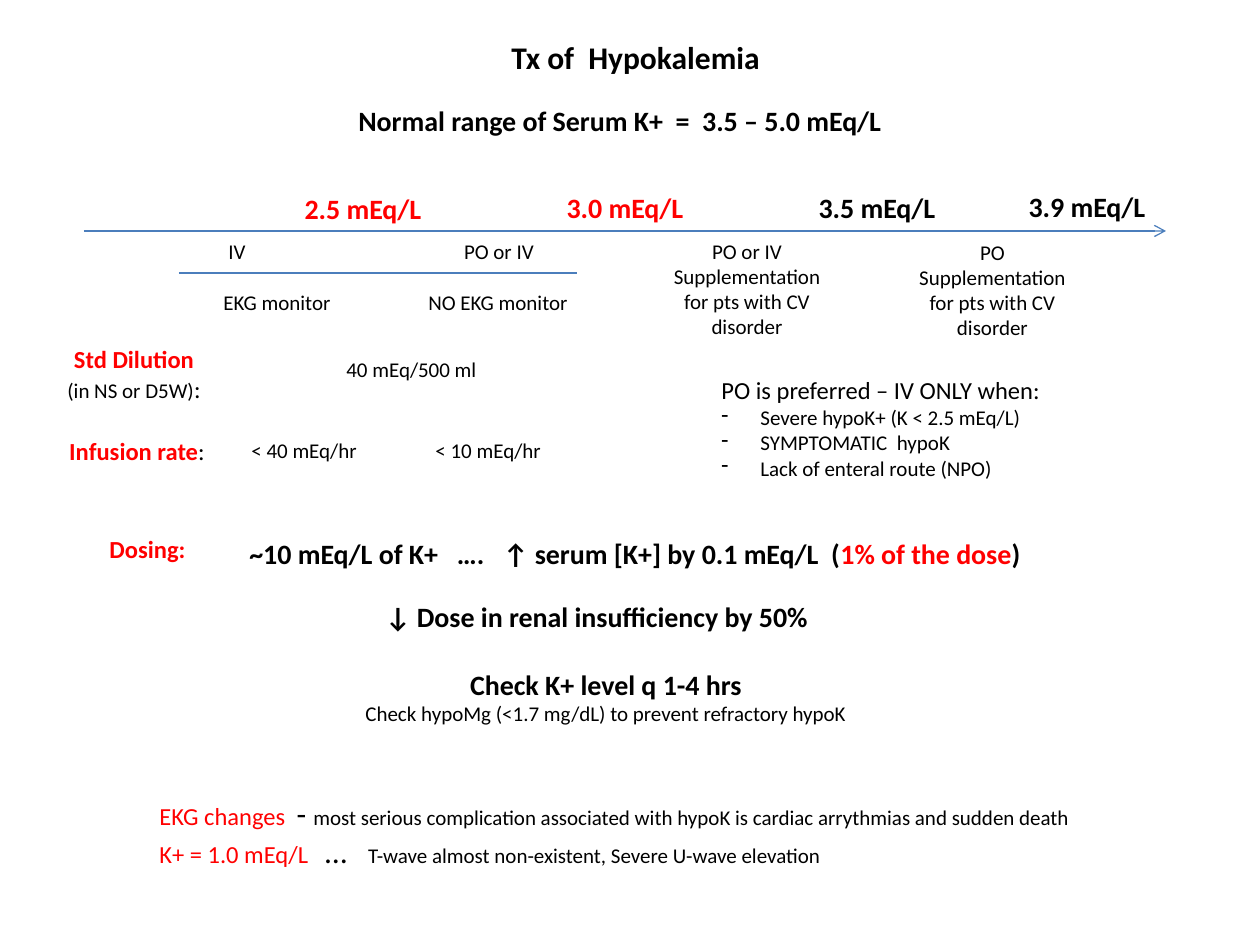
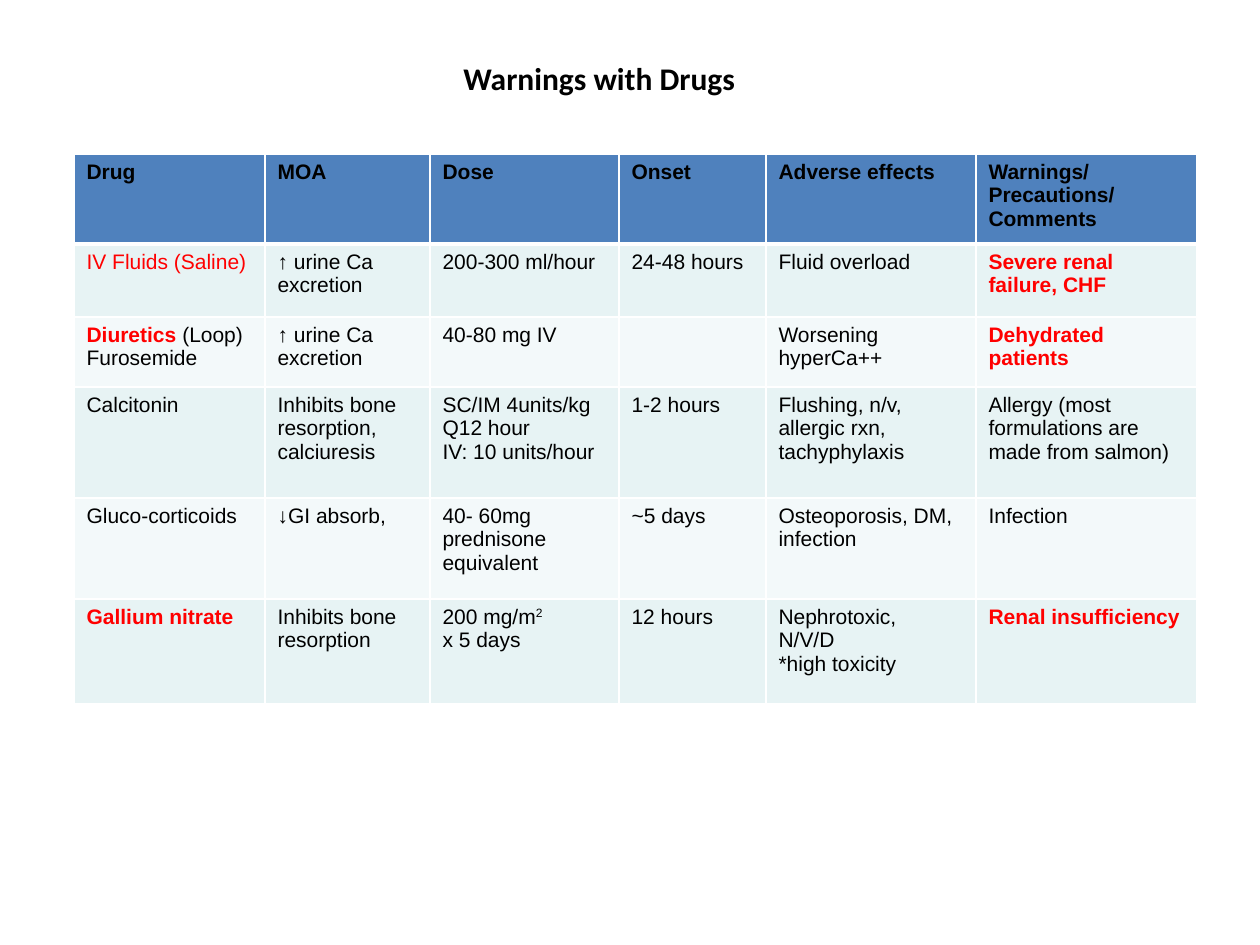
from typing import NamedTuple

from lxml.etree import SubElement
from pptx import Presentation
from pptx.dml.color import RGBColor
from pptx.enum.shapes import MSO_CONNECTOR
from pptx.enum.text import PP_ALIGN
from pptx.oxml.ns import qn
from pptx.util import Emu, Pt

BLACK, RED, WHITE = "000000", "FF0000", "FFFFFF"
LINE_BLUE, HEADER_BLUE = "4B7EBC", "4F81BD"
BANDS = ("E7F3F4", "F3F9FA")
BODY_FONT, TABLE_FONT = "Calibri", "Arial"
TITLE, HEADING, LABEL, SMALL = 18, 16, 14, 12
CENTER = PP_ALIGN.CENTER


class Run(NamedTuple):
    text: str
    size: int = SMALL
    color: str = BLACK
    bold: bool = False
    raised: bool = False


def px(n):
    return Emu(round(n * 914400 / 126))


def rgb(color):
    return RGBColor.from_string(color)


def warning(text):
    return [[Run(text, color=RED, bold=True)]]


def fill_text(tf, paragraphs, font, align=None):
    """Write paragraphs, each a list of runs, into a text frame."""
    for i, runs in enumerate(paragraphs):
        p = tf.paragraphs[0] if i == 0 else tf.add_paragraph()
        p.alignment = align
        for run in runs:
            r = p.add_run()
            r.text = run.text
            r.font.name = font
            r.font.size = Pt(run.size)
            r.font.bold = run.bold
            r.font.color.rgb = rgb(run.color)
            if run.raised:
                r._r.get_or_add_rPr().set("baseline", "30000")


def add_text(s, box, *paragraphs, align=None, wrap=False):
    tf = s.shapes.add_textbox(*map(px, box)).text_frame
    tf.word_wrap = wrap
    fill_text(tf, paragraphs, BODY_FONT, align)
    return tf


def add_title(s, box, text):
    add_text(s, box, [Run(text, TITLE, bold=True)])


def add_rule(s, x1, x2, y, arrow=False):
    line = s.shapes.add_connector(MSO_CONNECTOR.STRAIGHT, px(x1), px(y), px(x2), px(y))
    line.line.color.rgb = rgb(LINE_BLUE)
    line.line.width = Pt(0.75)
    if arrow:
        SubElement(line.line._get_or_add_ln(), qn("a:tailEnd"), type="arrow")
    SubElement(line._element.spPr, qn("a:effectLst"))


def add_dash(p):
    pPr = p._p.get_or_add_pPr()
    pPr.set("marL", str(px(39)))
    pPr.set("indent", str(-px(39)))
    SubElement(pPr, qn("a:buChar"), char="-")


def set_borders(cell, top, bottom):
    """Draw white borders; top and bottom are widths in points."""
    tcPr = cell._tc.get_or_add_tcPr()
    for side, width in (("L", 1), ("R", 1), ("T", top), ("B", bottom)):
        ln = SubElement(tcPr, qn(f"a:ln{side}"), w=str(Pt(width)))
        SubElement(SubElement(ln, qn("a:solidFill")), qn("a:srgbClr"), val=WHITE)


def add_drug_table(s, left, top, widths, heights, header, drugs):
    rows = [header, *drugs]
    table = s.shapes.add_table(len(rows), len(header), px(left), px(top),
                               px(sum(widths)), px(sum(heights))).table
    for column, width in zip(table.columns, widths):
        column.width = px(width)
    for i, (row, height, contents) in enumerate(zip(table.rows, heights, rows)):
        row.height = px(height)
        for cell, content in zip(row.cells, contents):
            set_borders(cell, 3 if i == 1 else 1, 3 if i == 0 else 1)
            cell.fill.solid()
            cell.fill.fore_color.rgb = rgb(BANDS[(i - 1) % 2] if i else HEADER_BLUE)
            if isinstance(content, str):
                content = [[Run(t, bold=i == 0)] for t in content.split("\n") if t]
            fill_text(cell.text_frame, content, TABLE_FONT)


def add_potassium_scale(s):
    add_rule(s, 84, 1166, 231, arrow=True)
    levels = [(284, 185, "2.5", RED), (546, 184, "3.0", RED),
              (798, 184, "3.5", BLACK), (1008, 183, "3.9", BLACK)]
    for x, y, level, color in levels:
        add_text(s, (x, y, 158, 47), [Run(f"{level} mEq/L", HEADING, color, True)],
                 align=CENTER)

    routes = [(179, 232, 116, "IV"), (441, 232, 116, "PO or IV"),
              (207, 283, 140, "EKG monitor"), (399, 283, 198, "NO EKG monitor")]
    for x, y, w, route in routes:
        add_text(s, (x, y, w, 38), [Run(route)], align=CENTER)
    add_rule(s, 179, 577, 273)

    for x, y, w, route in [(654, 232, 186, "PO or IV"), (903, 233, 179, "PO")]:
        add_text(s, (x, y, w, 115), [Run(route)],
                 [Run("Supplementation for pts with CV disorder")],
                 align=CENTER, wrap=True)


def add_infusion(s):
    add_text(s, (42, 338, 184, 72), [Run("Std Dilution", LABEL, RED, True)],
             [Run("(in NS or D5W)"), Run(":", LABEL)], align=CENTER)
    add_text(s, (53, 430, 168, 43),
             [Run("Infusion rate", LABEL, RED, True), Run(":", LABEL)], align=CENTER)
    values = [(334, 350, 161, "40 mEq/500 ml"), (239, 431, 139, "< 40 mEq/hr"),
              (423, 431, 144, "< 10 mEq/hr")]
    for x, y, w, value in values:
        add_text(s, (x, y, w, 38), [Run(value)])

    tf = add_text(s, (709, 369, 362, 118), [Run("PO is preferred – IV ONLY when:", LABEL)],
                  [Run("Severe hypoK+ (K < 2.5 mEq/L)")],
                  [Run("SYMPTOMATIC  hypoK")],
                  [Run("Lack of enteral route (NPO)")])
    for p in tf.paragraphs[1:]:
        add_dash(p)


def add_dosing(s):
    add_text(s, (84, 528, 127, 43), [Run("Dosing:", LABEL, RED, True)], align=CENTER)
    add_text(s, (237, 530, 804, 47),
             [Run("~10 mEq/L of K+   ….   ↑ serum [K+] by 0.1 mEq/L  (", HEADING, bold=True),
              Run("1% of the dose", HEADING, RED, True), Run(")", HEADING, bold=True)])
    add_text(s, (373, 593, 467, 47),
             [Run("↓ Dose in renal insufficiency by 50%", HEADING, bold=True)])
    add_text(s, (341, 661, 530, 72), [Run("Check K+ level q 1-4 hrs", HEADING, bold=True)],
             [Run("Check hypoMg (<1.7 mg/dL) to prevent refractory hypoK")], align=CENTER)


def add_ekg_notes(s):
    add_text(s, (147, 788, 939, 89),
             [Run("EKG changes  ", LABEL, RED), Run("- ", TITLE),
              Run("most serious complication associated with hypoK is cardiac "
                  "arrythmias and sudden death")],
             [Run("K+ = 1.0 mEq/L   ", LABEL, RED), Run("…   ", TITLE),
              Run("T-wave almost non-existent, Severe U-wave elevation")])


def build_hypokalemia(s):
    add_title(s, (499, 32, 278, 50), "Tx of  Hypokalemia")
    add_text(s, (346, 97, 557, 47),
             [Run("Normal range of Serum K+  =  3.5 – 5.0 mEq/L", HEADING, bold=True)])
    add_potassium_scale(s)
    add_infusion(s)
    add_dosing(s)
    add_ekg_notes(s)


def build_warnings(s):
    add_title(s, (451, 53, 315, 50), "Warnings with Drugs")
    header = ("Drug", "MOA", "Dose", "Onset", "Adverse effects",
              "Warnings/\nPrecautions/ Comments")
    drugs = [
        ([[Run("IV Fluids (Saline)", color=RED)]], "↑ urine Ca excretion",
         "200-300 ml/hour", "24-48 hours", "Fluid overload",
         warning("Severe renal failure, CHF")),
        ([[Run("Diuretics", color=RED, bold=True), Run(" (Loop) Furosemide")]],
         "↑ urine Ca excretion", "40-80 mg IV", "", "Worsening hyperCa++",
         warning("Dehydrated patients")),
        ("Calcitonin", "Inhibits bone resorption, calciuresis",
         "SC/IM 4units/kg Q12 hour\nIV: 10 units/hour", "1-2 hours",
         "Flushing, n/v, allergic rxn, tachyphylaxis",
         "Allergy (most formulations are made from salmon)"),
        ("Gluco-corticoids", "↓GI absorb,", "40- 60mg prednisone equivalent",
         "~5 days", "Osteoporosis, DM, infection", "Infection"),
        (warning("Gallium nitrate"), "Inhibits bone resorption",
         [[Run("200 mg/m"), Run("2", raised=True)], [Run("x 5 days")]],
         "12 hours", "Nephrotoxic,\nN/V/D\n*high toxicity",
         warning("Renal insufficiency")),
    ]
    add_drug_table(s, 74, 154, (191, 165, 189, 147, 210, 221),
                   (90, 73, 70, 111, 101, 105), header, drugs)


def main():
    prs = Presentation()
    prs.slide_width, prs.slide_height = px(1260), px(945)
    for build in (build_hypokalemia, build_warnings):
        build(prs.slides.add_slide(prs.slide_layouts[6]))
    prs.save("out.pptx")


if __name__ == "__main__":
    main()
